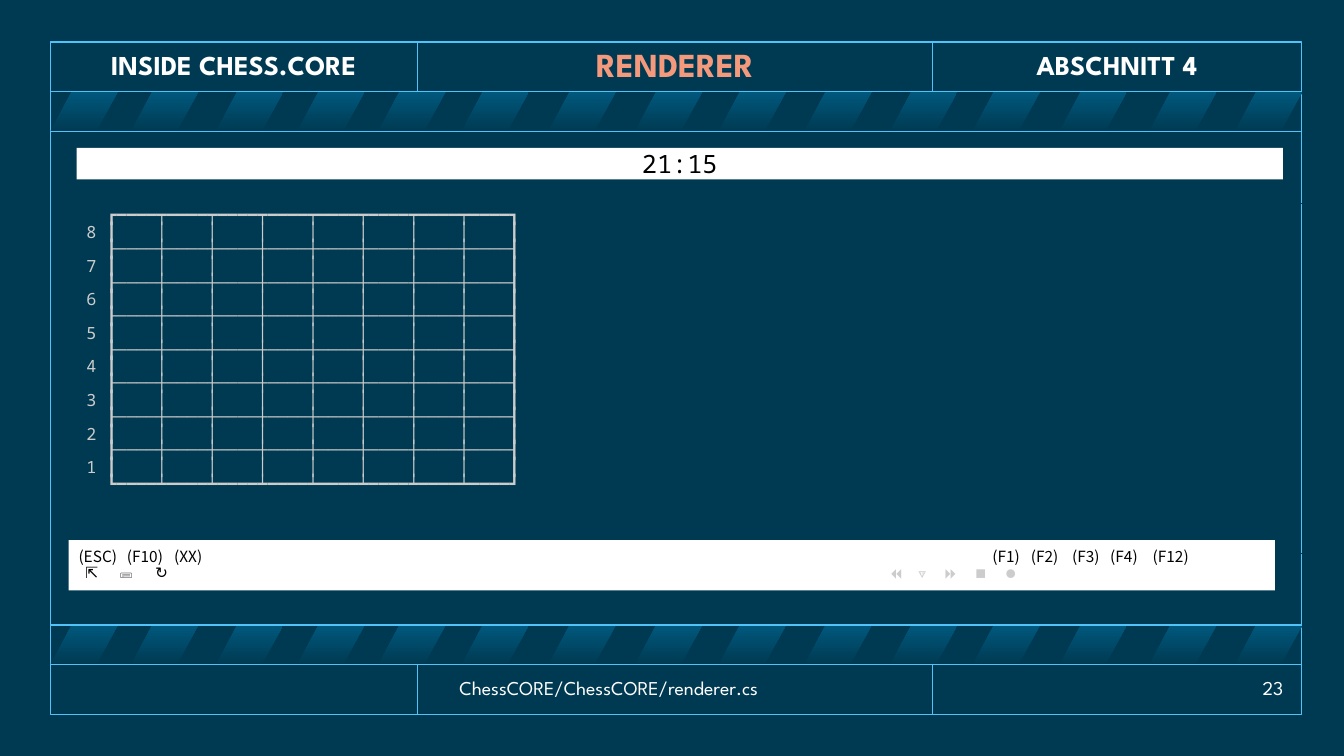
from lxml.etree import SubElement
from pptx import Presentation
from pptx.dml.color import RGBColor
from pptx.enum.shapes import MSO_CONNECTOR, MSO_SHAPE
from pptx.enum.text import MSO_ANCHOR, PP_ALIGN
from pptx.oxml.ns import qn
from pptx.util import Cm, Pt

NIGHT, STRIPE, SKY = "003A52", "00587D", "51C3F9"
WHITE, BLACK, CORAL, GREY = "FFFFFF", "000000", "F4997C", "CCCCCC"
HEADING, MONO, SYMBOLS = "League Spartan", "Noto Sans Mono", "Noto Sans CJK JP"

# Frame measures in cm, relative to the frame
ROW, BAND = 1.25, 1.0
COLUMNS = [0, 9.25, 22.23, 31.53]
STRIPES = [0, 2.03, 4.17, 6.22, 8.26, 10.36, 12.55, 14.73,
           16.84, 19, 21.16, 23.24, 25.43, 27.69, 29.85]


def color(value):
    return RGBColor.from_string(value)


def add_block(slide, box, fill=None, line=None, width=1, kind=MSO_SHAPE.RECTANGLE):
    block = slide.shapes.add_shape(kind, *map(Cm, box))
    block.shadow.inherit = False
    if fill:
        block.fill.solid()
        block.fill.fore_color.rgb = color(fill)
    else:
        block.fill.background()
    if line:
        block.line.color.rgb = color(line)
        block.line.width = Pt(width)
    else:
        block.line.fill.background()
    return block


def add_rule(slide, x1, y1, x2, y2):
    rule = slide.shapes.add_connector(MSO_CONNECTOR.STRAIGHT, Cm(x1), Cm(y1), Cm(x2), Cm(y2))
    rule.line.color.rgb = color(SKY)
    rule.line.width = Pt(1)
    SubElement(rule._element.spPr, qn("a:effectLst"))


def style_run(run, size, font, ink, bold=False):
    run.font.size = Pt(size)
    run.font.name = font
    run.font.bold = bold
    run.font.color.rgb = color(ink)
    SubElement(run._r.get_or_add_rPr(), qn("a:ea"), typeface=font)


def write(shape, text, size, font, ink, align=PP_ALIGN.LEFT,
          anchor=MSO_ANCHOR.MIDDLE, spacing=None, bold=False):
    frame = shape.text_frame
    frame.text = text
    frame.word_wrap = True
    frame.vertical_anchor = anchor
    for paragraph in frame.paragraphs:
        paragraph.alignment = align
        if spacing:
            paragraph.line_spacing = spacing
        for run in paragraph.runs:
            style_run(run, size, font, ink, bold)


def add_label(slide, box, text, *style, **options):
    write(slide.shapes.add_textbox(*map(Cm, box)), text, *style, **options)


def set_tabs(paragraph, stops):
    tabs = SubElement(paragraph._p.get_or_add_pPr(), qn("a:tabLst"))
    for stop in stops:
        SubElement(tabs, qn("a:tab"), pos=str(int(Cm(stop))), algn="l")


def draw_band(slide, left, top, width):
    """Slanted stripes between two rules."""
    for offset in STRIPES:
        stripe = add_block(slide, (left + offset, top, 1.7, BAND), kind=MSO_SHAPE.PARALLELOGRAM)
        stripe.adjustments[0] = 0.54
        stripe.fill.gradient()
        stripe.fill.gradient_angle = 90
        for stop, shade in zip(stripe.fill.gradient_stops, (NIGHT, STRIPE)):
            stop.color.rgb = color(shade)
    for y in (top, top + BAND):
        add_rule(slide, left, y, left + width, y)


def draw_frame(slide, left, top, width, height):
    add_block(slide, (left, top, width, height), line=SKY)
    bottom = top + height
    for divider in COLUMNS[1:-1]:
        for y in (top, bottom - ROW):
            add_rule(slide, left + divider, y, left + divider, y + ROW)
    for y in (top + ROW, bottom - ROW - BAND):
        draw_band(slide, left, y, width)


def draw_header(slide, left, top):
    titles = [("INSIDE CHESS.CORE", 19.5, WHITE), ("RENDERER", 24, CORAL),
              ("ABSCHNITT 4", 19.5, WHITE)]
    for (title, size, ink), start, end in zip(titles, COLUMNS, COLUMNS[1:]):
        add_label(slide, (left + start, top, end - start, ROW), title, size, HEADING, ink,
                  align=PP_ALIGN.CENTER, spacing=0.9, bold=True)


def draw_footer(slide, left, top):
    add_label(slide, (left + 28.98, top + 0.19, 2.34, 0.76), "23", 14, HEADING, WHITE,
              align=PP_ALIGN.RIGHT)
    source_file = add_block(slide, (left + 10.06, top + 0.17, 12.14, 0.86), line=NIGHT, width=0.75)
    write(source_file, "ChessCORE/ChessCORE/renderer.cs", 14, HEADING, WHITE,
          anchor=MSO_ANCHOR.TOP)


def board_lines():
    """Console output of the empty chess board."""
    def border(start, dash, joint, end):
        return "  " + start + joint.join([dash * 4] * 8) + end

    lines = [border("┏", "━", "┯", "┓")]
    for rank in range(8, 0, -1):
        lines.append(f"{rank} ┃" + "│".join([" " * 4] * 8) + "┃")
        lines.append(border("┠", "─", "┼", "┨"))
    lines[-1] = border("┗", "━", "┷", "┛")
    return lines


def draw_board(slide, box):
    board = add_block(slide, box, line=NIGHT, width=0.75)
    write(board, "\n".join(board_lines()), 12, MONO, GREY,
          anchor=MSO_ANCHOR.TOP, spacing=Pt(12))


def draw_clock(slide, box):
    write(add_block(slide, box, fill=WHITE), "21:15", 18, MONO, BLACK, align=PP_ALIGN.CENTER)


def draw_key_bar(slide, box):
    key_bar = add_block(slide, box, fill=WHITE)
    keys = ["(ESC)", "(F10)", "(XX)", "(F1)", "(F2)", "(F3)", "(F4)", "(F12)"]
    icons = ["", "⇱", "🖴", "↻", ""]
    write(key_bar, "\t".join(keys) + "\n" + "\t".join(icons), 11, SYMBOLS, BLACK,
          spacing=Pt(12))
    key_row, icon_row = key_bar.text_frame.paragraphs
    set_tabs(key_row, [1.22, 2.41, 23.03, 24, 25.04, 26, 27.07])
    set_tabs(icon_row, [0.17, 1.03, 1.93, 20.45, 21.16, 21.82, 22.58, 23.34])
    # Inactive playback icons
    playback = icon_row.add_run()
    playback.text = "\t".join(["⏪", "🔽", "⏩", "⏹️", "⏺️"])
    style_run(playback, 11, SYMBOLS, GREY)


def main():
    deck = Presentation()
    deck.slide_width, deck.slide_height = Cm(33.87), Cm(19.05)
    slide = deck.slides.add_slide(deck.slide_layouts[6])
    slide.background.fill.solid()
    slide.background.fill.fore_color.rgb = color(NIGHT)

    left, top, width, height = 1.27, 1.06, COLUMNS[-1], 16.94
    draw_frame(slide, left, top, width, height)
    draw_footer(slide, left, top + height - ROW)
    draw_header(slide, left, top)
    draw_board(slide, (1.93, 5.13, 31.32, 8.81))
    draw_clock(slide, (1.93, 3.73, 30.4, 0.79))
    draw_key_bar(slide, (1.73, 13.61, 30.4, 1.27))
    deck.save("out.pptx")


if __name__ == "__main__":
    main()
